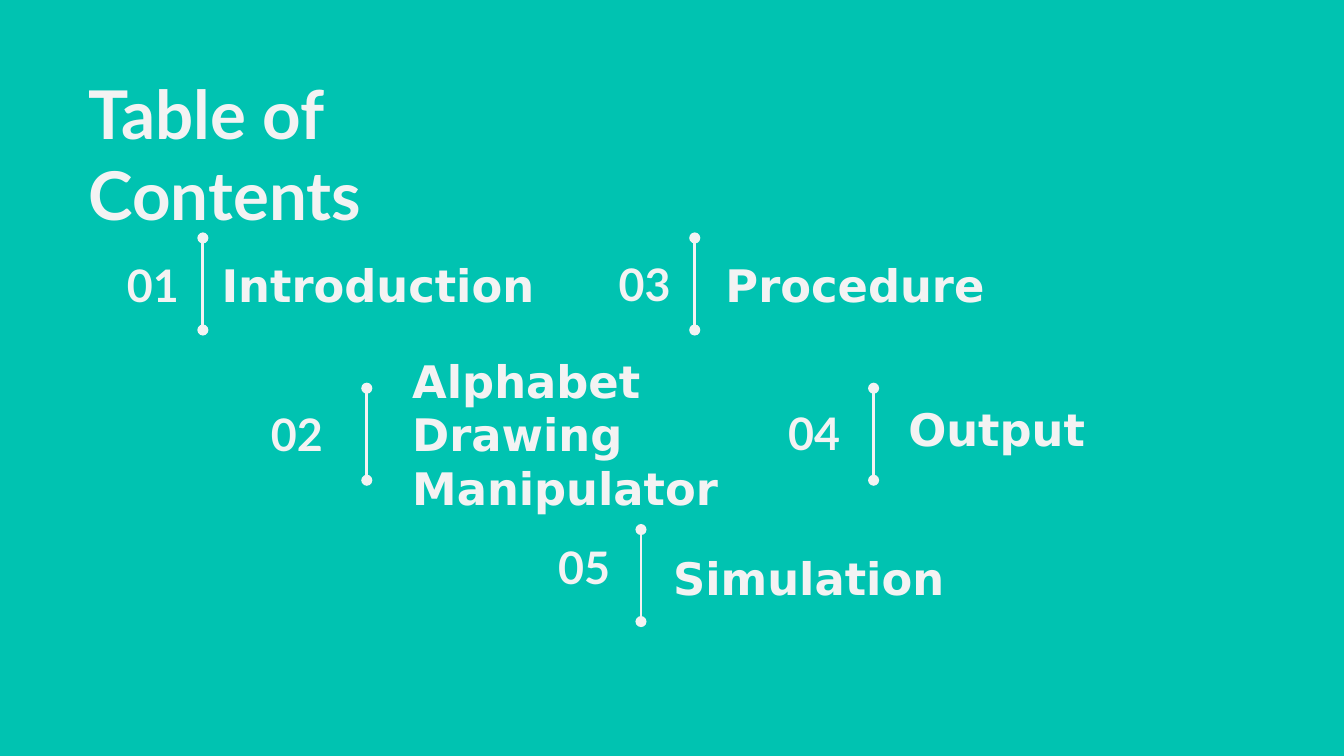
from dataclasses import dataclass

from lxml.etree import SubElement
from pptx import Presentation
from pptx.dml.color import RGBColor
from pptx.enum.shapes import MSO_CONNECTOR as Connector
from pptx.enum.text import MSO_ANCHOR as Anchor, MSO_AUTO_SIZE as AutoSize, PP_ALIGN as Align
from pptx.oxml.ns import qn
from pptx.util import Pt


@dataclass(frozen=True)
class Theme:
    """Colours, fonts and type sizes of the deck."""
    back: RGBColor = RGBColor(0x00, 0xC3, 0xB1)
    ink: RGBColor = RGBColor(0xF3, 0xF3, 0xF3)
    head_font: str = "Lato"
    label_font: str = "DejaVu Sans"
    title_size: int = 36
    entry_size: int = 24
    rule_width: float = 1.5


@dataclass(frozen=True)
class Entry:
    """A contents entry: rule position, then number and label offsets from it."""
    text: str
    x: float
    y: float
    number: tuple
    label: tuple
    width: float


THEME = Theme()
RULE_HEIGHT = 49.3
ROWS = (127.5, 208, 283.7)
ENTRIES = (
    Entry("Introduction", 108.7, ROWS[0], (-53.3, 8.6), (2.9, 8.6), 203),
    Entry("Alphabet Drawing Manipulator", 196.5, ROWS[1], (-64, 8), (17.3, 8), 184.3),
    Entry("Procedure", 372.2, ROWS[0], (-53.3, 8), (9.4, 8.6), 184.3),
    Entry("Output", 468, ROWS[1], (-58.3, 7.3), (11.5, 5.1), 184.3),
    Entry("Simulation", 343.4, ROWS[2], (-56.9, 3.6), (10.1, 9.4), 206),
)


def apply(target, values):
    """Set attributes of an object from a dict."""
    for name, value in values.items():
        setattr(target, name, value)


def write(sp, text, font, size, align, anchor, inset):
    """Fill a shape's frame with one formatted paragraph."""
    tf = sp.text_frame
    apply(tf, {"word_wrap": True, "auto_size": AutoSize.NONE, "vertical_anchor": anchor,
               "margin_left": Pt(7.2), "margin_right": Pt(7.2),
               "margin_top": Pt(inset), "margin_bottom": Pt(inset)})
    p = tf.paragraphs[0]
    apply(p, {"alignment": align, "line_spacing": 1.0, "space_before": Pt(0)})
    r = p.add_run()
    r.text = text
    apply(r.font, {"name": font, "size": Pt(size), "bold": True})
    r.font.color.rgb = THEME.ink


def add_title(s, text, x, y, w, h):
    """Place the slide title in its box."""
    sp = s.shapes.title
    apply(sp, {"left": Pt(x), "top": Pt(y), "width": Pt(w), "height": Pt(h)})
    write(sp, text, THEME.head_font, THEME.title_size, Align.LEFT, Anchor.TOP, 3.6)


def add_rule(s, x, y, h):
    """Draw a vertical rule with a dot at each end."""
    line = s.shapes.add_connector(Connector.STRAIGHT, Pt(x), Pt(y), Pt(x), Pt(y + h))
    line.line.width = Pt(THEME.rule_width)
    line.line.color.rgb = THEME.ink
    ln = line.line._get_or_add_ln()
    for end in ("a:headEnd", "a:tailEnd"):
        SubElement(ln, qn(end), type="oval", w="med", len="med")
    SubElement(line._element.spPr, qn("a:effectLst"))


def add_entry(s, number, entry):
    """Place one contents entry around its rule."""
    add_rule(s, entry.x, entry.y, RULE_HEIGHT)
    parts = (
        (f"{number:02}", entry.number, 47.5, THEME.head_font, Align.RIGHT),
        (entry.text, entry.label, entry.width, THEME.label_font, Align.LEFT),
    )
    for text, (dx, dy), w, font, align in parts:
        sp = s.shapes.add_textbox(Pt(entry.x + dx), Pt(entry.y + dy), Pt(w), Pt(33))
        write(sp, text, font, THEME.entry_size, align, Anchor.MIDDLE, 7.2)


def add_contents_slide(prs):
    """Build the table of contents slide."""
    s = prs.slides.add_slide(prs.slide_layouts[5])
    s.background.fill.solid()
    s.background.fill.fore_color.rgb = THEME.back
    add_title(s, "Table of Contents", 40.3, 35.3, 278.6, 51)
    for number, entry in enumerate(ENTRIES, 1):
        add_entry(s, number, entry)


def main():
    """Create and save the deck."""
    prs = Presentation()
    apply(prs, {"slide_width": Pt(720), "slide_height": Pt(405)})
    add_contents_slide(prs)
    prs.save("out.pptx")


if __name__ == "__main__":
    main()
